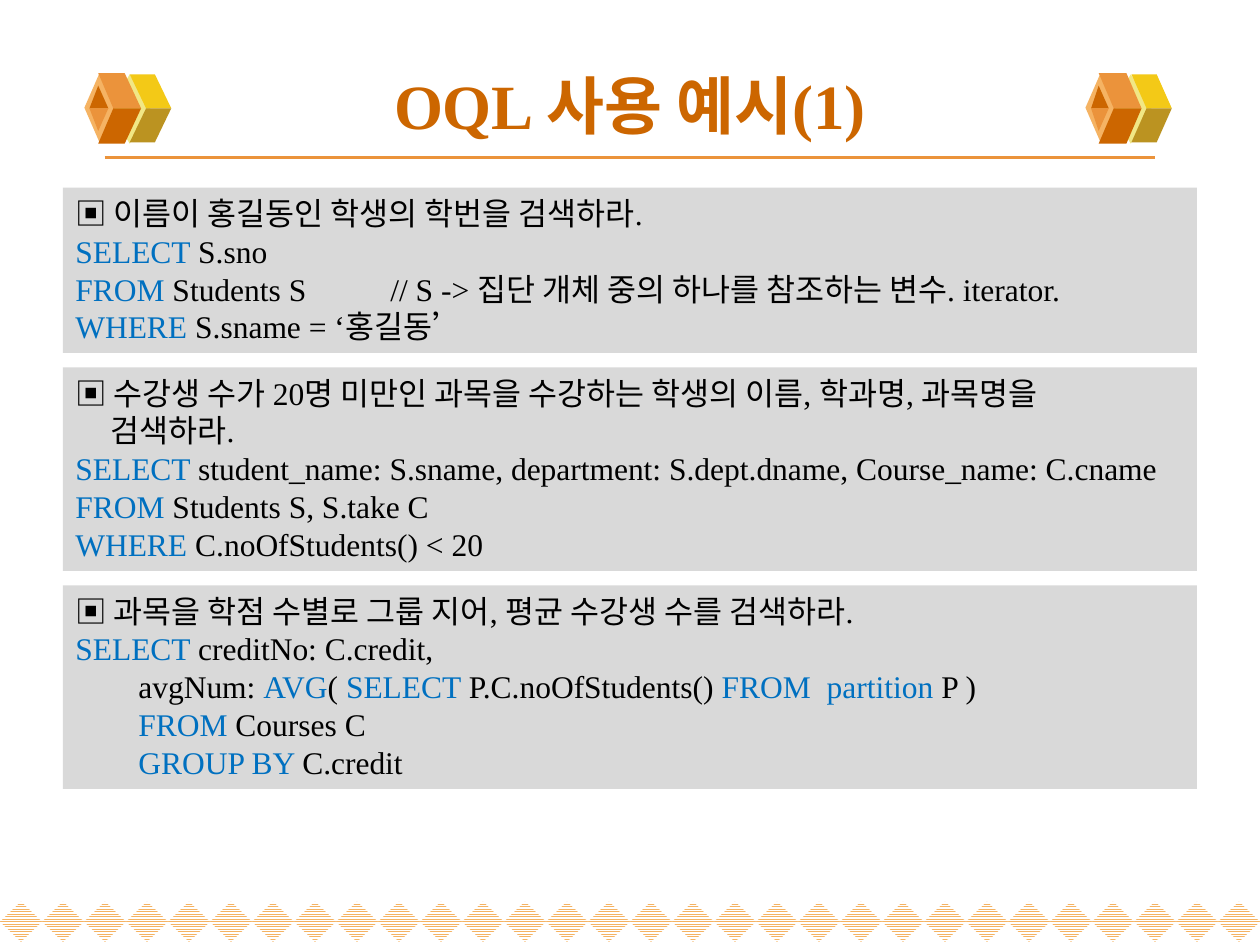
from lxml.etree import SubElement as add_node
from pptx import Presentation as Deck
from pptx.dml.color import RGBColor as Color
from pptx.enum.dml import MSO_PATTERN as Weave
from pptx.enum.shapes import MSO_CONNECTOR as Link, MSO_SHAPE as Kind
from pptx.enum.text import MSO_ANCHOR as Anchor, PP_ALIGN as Align
from pptx.oxml.ns import qn
from pptx.util import Inches, Pt

WIDE, HIGH = Inches(10), Inches(7.5)
COLS, ROWS = 1000, 750
COL, ROW = WIDE // COLS, HIGH // ROWS
FONT = "Times New Roman"

WHITE = Color(0xFF, 0xFF, 0xFF)
BLACK = Color(0, 0, 0)
BLUE = Color(0x00, 0x70, 0xC0)
GREY = Color(0xD9, 0xD9, 0xD9)
RUST = Color(0xCC, 0x66, 0x00)
AMBER = Color(0xEB, 0x93, 0x3B)
PEACH = Color(0xF5, 0xB3, 0x63)
CREAM = Color(0xF1, 0xE7, 0x85)
YELLOW = Color(0xF3, 0xC9, 0x17)
OLIVE = Color(0xBB, 0x93, 0x21)

PANELS = [
    [
        (0, [("▣ 이름이 홍길동인 학생의 학번을 검색하라.", BLACK)]),
        (0, [("SELECT ", BLUE), ("S.sno", BLACK)]),
        (0, [("FROM", BLUE),
             (" Students S\t\t// S -> 집단 개체 중의 하나를 참조하는 변수. iterator.", BLACK)]),
        (0, [("WHERE ", BLUE), ("S.sname = ‘홍길동’", BLACK)]),
    ],
    [
        (0, [("▣ 수강생 수가 20명 미만인 과목을 수강하는 학생의 이름, 학과명, 과목명을", BLACK)]),
        (28, [("검색하라.", BLACK)]),
        (0, [("SELECT ", BLUE),
             ("student_name: S.sname, department: S.dept.dname, Course_name: C.cname", BLACK)]),
        (0, [("FROM", BLUE), (" Students S, S.take C", BLACK)]),
        (0, [("WHERE ", BLUE), ("C.noOfStudents() < 20", BLACK)]),
    ],
    [
        (0, [("▣ 과목을 학점 수별로 그룹 지어, 평균 수강생 수를 검색하라.", BLACK)]),
        (0, [("SELECT ", BLUE), ("creditNo: C.credit,", BLACK)]),
        (50, [("avgNum: ", BLACK), ("AVG", BLUE), ("( ", BLACK), ("SELECT ", BLUE),
              ("P.C.noOfStudents() ", BLACK), ("FROM  partition", BLUE), (" P )", BLACK)]),
        (50, [("FROM", BLUE), (" Courses C", BLACK)]),
        (50, [("GROUP BY ", BLUE), ("C.credit", BLACK)]),
    ],
]


def span(left, top, width, height):
    return [round(n * unit) for n, unit in
            zip((left, top, width, height), (COL, ROW, COL, ROW))]


def paint(shape, color):
    shape.shadow.inherit = False
    shape.line.fill.background()
    shape.fill.solid()
    shape.fill.fore_color.rgb = color


def add_box(slide, kind, area, color):
    shape = slide.shapes.add_shape(kind, *span(*area))
    paint(shape, color)
    return shape


def add_form(slide, points, color):
    pen = slide.shapes.build_freeform(*points[0], scale=(COL, ROW))
    pen.add_line_segments(points[1:], close=True)
    paint(pen.convert_to_shape(), color)


def add_run(para, text, size, color, bold=False):
    run = para.add_run()
    run.text = text
    font = run.font
    font.name, font.size, font.bold = FONT, Pt(size), bold
    font.color.rgb = color


def add_border(slide, count=30):
    step = COLS / count
    for spot in range(count):
        gem = add_box(slide, Kind.DIAMOND, (spot * step, 715.5, step, 32), WHITE)
        gem.fill.patterned()
        gem.fill.pattern = Weave.NARROW_HORIZONTAL
        gem.fill.fore_color.rgb = PEACH
        gem.fill.back_color.rgb = WHITE


def add_rule(slide):
    left, top, right, base = span(83, 125, 917, 125)
    rule = slide.shapes.add_connector(Link.STRAIGHT, left, top, right, base)
    rule.line.color.rgb = AMBER
    rule.line.width = Pt(2.25)
    add_node(rule._element.spPr, qn("a:effectLst"))


def add_pair(slide, left, axis, points, upper, lower):
    for sign, color in ((-1, upper), (1, lower)):
        add_form(slide, [(left + x, axis + sign * y) for x, y in points], color)


def add_badge(slide, left, axis=86):
    add_box(slide, Kind.DIAMOND, (left + 19.5, axis - 27, 33, 55), CREAM)
    add_pair(slide, left, axis, [(49, 0), (69, 0), (56, 27), (36, 27)], YELLOW, OLIVE)
    add_box(slide, Kind.DIAMOND, (left, axis - 28, 24, 55), PEACH)
    add_pair(slide, left, axis, [(23, 0), (45, 0), (32, 27.5), (11, 27.5)], AMBER, RUST)
    add_pair(slide, left, axis, [(11, 18), (4, 0), (19, 0)], RUST, AMBER)


def add_title(slide, text):
    box = slide.shapes.add_textbox(*span(50, 45, 900, 76))
    frame = box.text_frame
    frame.word_wrap = True
    frame.vertical_anchor = Anchor.MIDDLE
    para = frame.paragraphs[0]
    para.alignment = Align.CENTER
    add_run(para, text, 36, RUST, True)


def add_panel(slide, top, height, lines):
    box = add_box(slide, Kind.RECTANGLE, (50, top, 900, height), GREY)
    frame = box.text_frame
    frame.word_wrap = True
    frame.vertical_anchor = Anchor.TOP
    for row, (indent, runs) in enumerate(lines):
        para = frame.add_paragraph() if row else frame.paragraphs[0]
        para.alignment = Align.LEFT
        if indent:
            props = para._p.get_or_add_pPr()
            props.set("marL", str(indent * COL))
            props.set("indent", "0")
        for text, color in runs:
            add_run(para, text, 18, color)


def main():
    deck = Deck()
    deck.slide_width, deck.slide_height = WIDE, HIGH
    slide = deck.slides.add_slide(deck.slide_layouts[6])
    add_border(slide)
    add_rule(slide)
    for left in (67, 861.5):
        add_badge(slide, left)
    add_title(slide, "OQL 사용 예시(1)")
    top = 149
    for lines in PANELS:
        height = 10 + 30.3 * len(lines)
        add_panel(slide, top, height, lines)
        top += height + 11.5
    deck.save("out.pptx")


main()
